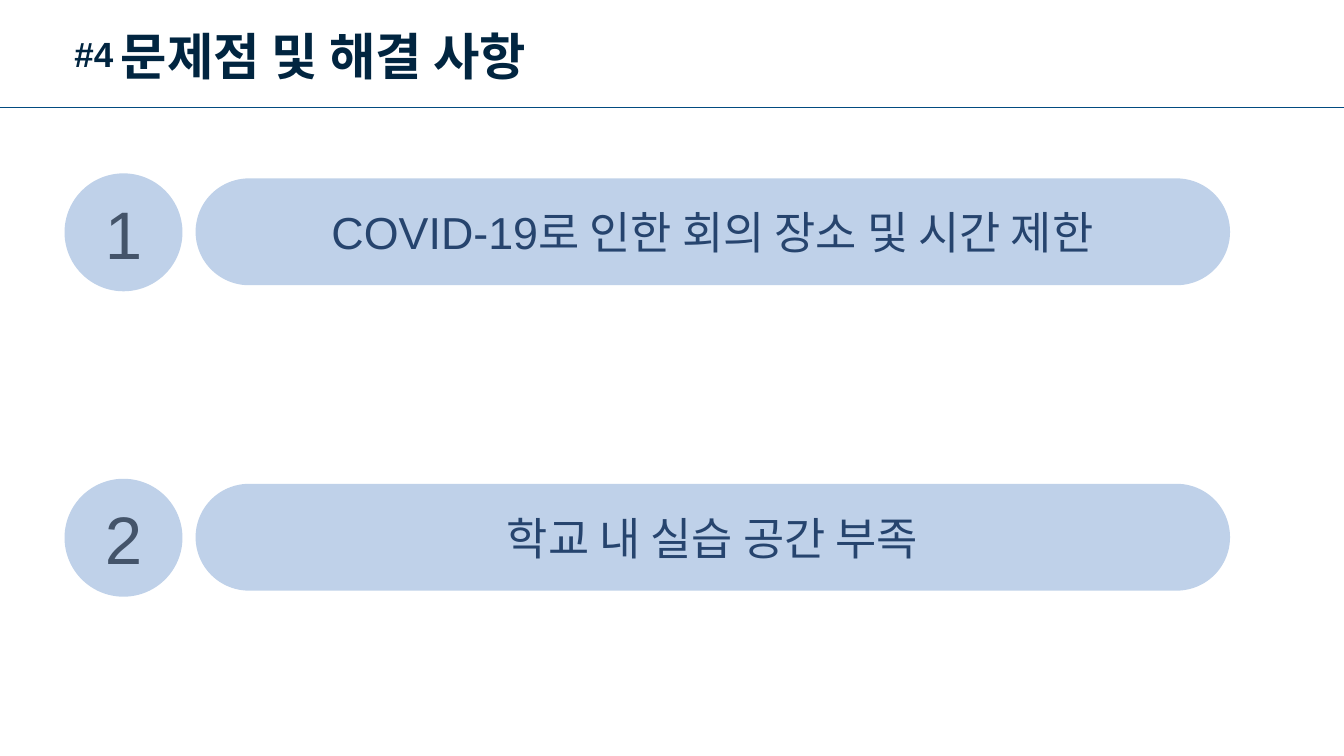
from pptx import Presentation
from pptx.dml.color import RGBColor
from pptx.enum import shapes, text
from pptx.oxml.ns import qn
from pptx.util import Inches, Pt
from lxml import etree

NAVY = RGBColor(0x01, 0x25, 0x40)
RULE = RGBColor(0x02, 0x4B, 0x80)
PALE = RGBColor(0xBF, 0xD1, 0xE9)
SLATE = RGBColor(0x44, 0x54, 0x6A)
BLUE = RGBColor(0x26, 0x44, 0x6E)
LATIN, KOREAN = "Arial", "Noto Sans CJK KR"


def write(shape, words, size, color, bold=False, align=text.PP_ALIGN.LEFT,
          anchor=text.MSO_ANCHOR.MIDDLE, face=LATIN):
    frame = shape.text_frame
    layout = {"word_wrap": True, "auto_size": text.MSO_AUTO_SIZE.NONE,
              "vertical_anchor": anchor}
    for key, value in layout.items():
        setattr(frame, key, value)
    para = frame.paragraphs[0]
    para.alignment = align
    run = para.add_run()
    run.text = words
    run.font.color.rgb = color
    for key, value in {"name": face, "size": Pt(size), "bold": bold}.items():
        setattr(run.font, key, value)
    # Korean letters take the East Asian face
    east = etree.SubElement(run.font._element, qn("a:ea"))
    east.set("typeface", KOREAN)


def badge(kind, left, top, width, height, words, size, color):
    shape = slide.shapes.add_shape(kind, Inches(left), Inches(top),
                                   Inches(width), Inches(height))
    shape.shadow.inherit = False
    shape.fill.solid()
    shape.fill.fore_color.rgb = PALE
    shape.line.fill.background()
    write(shape, words, size, color, align=text.PP_ALIGN.CENTER)
    return shape


deck = Presentation()
deck.slide_width, deck.slide_height = Inches(13.33), Inches(7.5)
slide = deck.slides.add_slide(deck.slide_layouts[5])

# Title and its number
title = slide.shapes.title
place = {"left": 1.1, "top": 0.19, "width": 7.33, "height": 0.71}
for key, value in place.items():
    setattr(title, key, Inches(value))
write(title, "문제점 및 해결 사항", 36, NAVY, bold=True, face=KOREAN)
number = slide.shapes.add_textbox(Inches(0.64), Inches(0.27),
                                  Inches(0.92), Inches(0.52))
write(number, "#4", 25, NAVY, bold=True, anchor=text.MSO_ANCHOR.TOP)

# Rule under the title
rule = slide.shapes.add_connector(shapes.MSO_CONNECTOR.STRAIGHT, 0, Inches(1.07),
                                  deck.slide_width, Inches(1.07))
rule.line.color.rgb = RULE
rule.line.width = Pt(0.5)
etree.SubElement(rule._element.spPr, qn("a:effectLst"))

# Numbered problems
issues = ["COVID-19로 인한 회의 장소 및 시간 제한", "학교 내 실습 공간 부족"]
for i, issue in enumerate(issues):
    top = 1.72 + 3.03 * i
    badge(shapes.MSO_SHAPE.OVAL, 0.64, top, 1.17, 1.17, str(i + 1), 48, SLATE)
    bar = badge(shapes.MSO_SHAPE.ROUNDED_RECTANGLE, 1.94, top + 0.05,
                10.26, 1.06, issue, 32, BLUE)
    bar.adjustments[0] = 0.5

deck.save("out.pptx")
